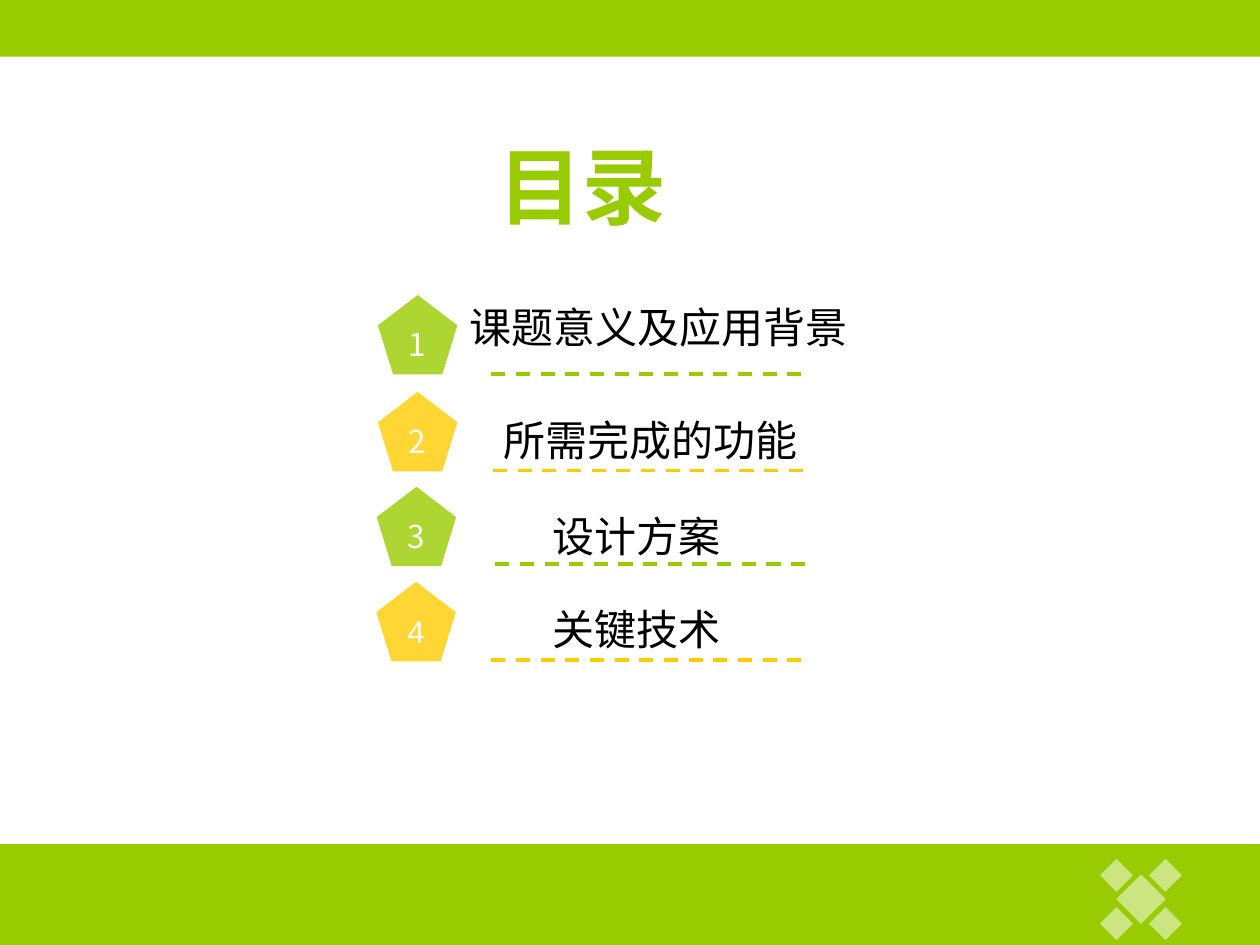
from dataclasses import dataclass

import lxml.etree
import pptx
import pptx.dml.color
import pptx.enum.dml
import pptx.enum.shapes
import pptx.enum.text
import pptx.oxml.ns
import pptx.util

Pt = pptx.util.Pt
SHAPE = pptx.enum.shapes.MSO_SHAPE
ALIGN = pptx.enum.text.PP_ALIGN
qn = pptx.oxml.ns.qn


@dataclass(frozen=True)
class Theme:
    green: str = "99CC00"
    yellow: str = "FFCC00"
    white: str = "FFFFFF"
    black: str = "000000"
    latin: str = "Arial"
    cjk: str = "Noto Sans CJK SC"
    title_size: int = 48
    item_size: int = 24
    number_size: int = 18


THEME = Theme()


def rgb(color):
    return pptx.dml.color.RGBColor.from_string(color)


def add_block(s, kind, x, y, w, h, color, opacity=100):
    sp = s.shapes.add_shape(kind, Pt(x), Pt(y), Pt(w), Pt(h))
    sp.shadow.inherit = False
    sp.fill.solid()
    sp.fill.fore_color.rgb = rgb(color)
    sp.line.fill.background()
    if opacity < 100:
        clr = sp._element.spPr.find(".//" + qn("a:srgbClr"))
        lxml.etree.SubElement(clr, qn("a:alpha"), val=str(opacity * 1000))
    return sp


def write(sp, text, size, color, align, latin=THEME.latin, bold=False):
    tf = sp.text_frame
    tf.text = text
    p = tf.paragraphs[0]
    p.alignment = align
    r = p.runs[0]
    r.font.name = latin
    r.font.size = Pt(size)
    r.font.bold = bold
    r.font.color.rgb = rgb(color)
    ea = lxml.etree.Element(qn("a:ea"), typeface=THEME.cjk)
    r.font._element.find(qn("a:latin")).addnext(ea)


def add_text(s, text, x, y, w, h, size, color, align, bold=False):
    sp = s.shapes.add_textbox(Pt(x), Pt(y), Pt(w), Pt(h))
    sp.text_frame.word_wrap = True
    write(sp, text, size, color, align, bold=bold)


def add_badge(s, number, x, y, color, latin):
    sp = add_block(s, SHAPE.REGULAR_PENTAGON, x, y, 45.4, 45.4, color, 80)
    sp.text_frame.word_wrap = False
    sp.text_frame.vertical_anchor = pptx.enum.text.MSO_ANCHOR.MIDDLE
    write(sp, str(number), THEME.number_size, THEME.white, ALIGN.CENTER, latin)


def add_dashes(s, x, y, w, color):
    line = s.shapes.add_connector(
        pptx.enum.shapes.MSO_CONNECTOR.STRAIGHT, Pt(x), Pt(y), Pt(x + w), Pt(y))
    line.line.color.rgb = rgb(color)
    line.line.width = Pt(2)
    line.line.dash_style = pptx.enum.dml.MSO_LINE.DASH
    lxml.etree.SubElement(line._element.spPr, qn("a:effectLst"))


def add_frame(s):
    add_block(s, SHAPE.RECTANGLE, 0, -1.4, 720, 33.8, THEME.green)
    add_block(s, SHAPE.RECTANGLE, 0, 482.4, 720, 57.6, THEME.green)
    cx, cy = 652, 513.8
    offsets = [(0, 0, 28.2), (-14, 14, 18.8), (14, 14, 18.8),
               (-14, -13.6, 18.8), (14, -13.6, 18.8)]
    for dx, dy, size in offsets:
        add_block(s, SHAPE.DIAMOND, cx + dx - size / 2, cy + dy - size / 2,
                  size, size, THEME.white, 50)


def main():
    prs = pptx.Presentation()
    prs.slide_width, prs.slide_height = Pt(720), Pt(540)
    s = prs.slides.add_slide(prs.slide_layouts[6])
    add_frame(s)
    add_text(s, "目录", 220.3, 73.4, 224.6, 64.8, THEME.title_size,
             THEME.green, ALIGN.CENTER, bold=True)

    items = [
        ("课题意义及应用背景", 261.4, 168.5, 241.2, 216, 168.6, 280.8, 213.8, THEME.cjk),
        ("所需完成的功能", 280.8, 233.3, 201.6, 216, 224, 281.7, 268.9, THEME.cjk),
        ("设计方案", 308.9, 288, 117.4, 215.3, 278.2, 283, 322.4, THEME.cjk),
        ("关键技术", 308.9, 341.3, 117.4, 215.1, 332.5, 280.8, 377.2, THEME.latin),
    ]
    for i, (text, x, y, w, badge_x, badge_y, line_x, line_y, latin) in enumerate(items):
        color = (THEME.green, THEME.yellow)[i % 2]
        add_badge(s, i + 1, badge_x, badge_y, color, latin)
        add_dashes(s, line_x, line_y, 181.4, color)
        add_text(s, text, x, y, w, 36, THEME.item_size, THEME.black, ALIGN.LEFT)

    prs.save("out.pptx")


if __name__ == "__main__":
    main()
